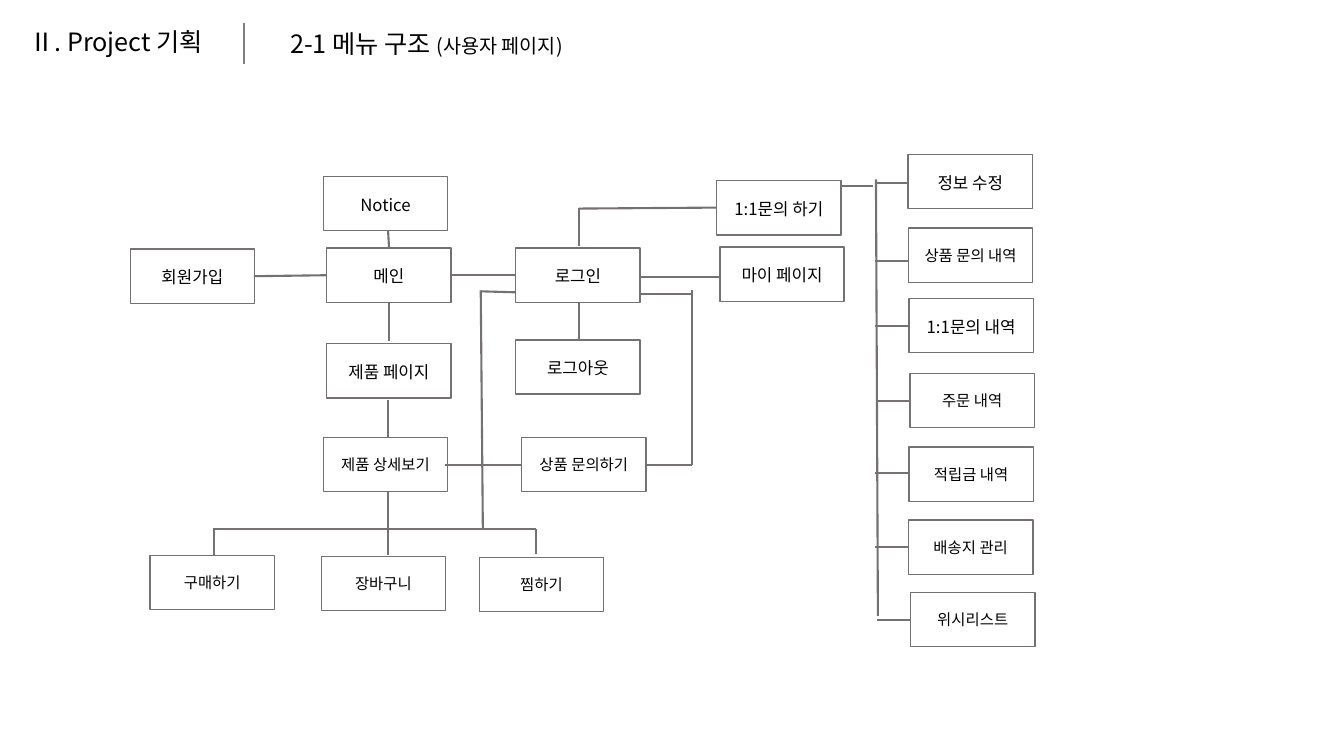
from lxml.etree import SubElement
from pptx import Presentation
from pptx.dml.color import RGBColor
from pptx.enum.shapes import MSO_CONNECTOR, MSO_SHAPE
from pptx.enum.text import MSO_ANCHOR, MSO_AUTO_SIZE, PP_ALIGN
from pptx.oxml.ns import qn
from pptx.util import Pt

COLORS = {"text": "000000", "box": "FFFFFF", "line": "767171", "divider": "808080"}
FONT = "Noto Sans CJK KR"
BOX_W, BOX_H = 88.8, 38.8

# label, left, top, text size
MENU_BOXES = [
    ("Notice", 231, 126, 12),
    ("회원가입", 93, 178, 12),
    ("메인", 233.4, 177.2, 12),
    ("로그인", 368.4, 177.2, 12),
    ("마이 페이지", 514.2, 176.4, 12),
    ("1:1문의 하기", 511.9, 129, 12),
    ("제품 페이지", 233.4, 245.5, 12),
    ("로그아웃", 368.4, 242.8, 12),
    ("제품 상세보기", 231, 312.4, 11),
    ("상품 문의하기", 372.6, 312.4, 11),
    ("구매하기", 107.2, 396.8, 11),
    ("장바구니", 229.5, 397.4, 11),
    ("찜하기", 342.4, 398.2, 11),
]

# label, left, top, text size, height of the branch that leads to it
MY_PAGE_BOXES = [
    ("정보 수정", 648.7, 110.2, 12, 131),
    ("상품 문의 내역", 648.9, 162.8, 11, 186.5),
    ("1:1문의 내역", 649.3, 213.2, 12, 232.6),
    ("주문 내역", 650, 266.6, 11, 286.6),
    ("적립금 내역", 649.3, 319.4, 11, 337.7),
    ("배송지 관리", 649, 371.5, 11, 391),
    ("위시리스트", 650.4, 423.2, 11, 442.8),
]

# from x, from y, to x, to y
LINKS = [
    (277.2, 165, 277.9, 177),       # Notice - main
    (233.3, 196.6, 181.4, 197.3),   # main - sign-up
    (368.6, 196.6, 321.8, 196.6),   # main - login
    (277.9, 216, 277.9, 243.4),     # main - products
    (277.2, 286, 277.2, 313.2),     # products - detail
    (413.3, 216, 413.3, 242.6),     # login - logout
    (514.8, 198, 457.2, 198),       # login - my page
    (413.3, 148.3, 413.3, 175.7),   # login - enquiry
    (511.9, 148.3, 413.3, 149),
    (623.5, 133.2, 599.8, 133.2),   # enquiry - my page trunk
    (627.1, 440, 625.7, 128.2),     # my page trunk
    (373, 332, 318.2, 332),         # detail - product enquiry
    (494.6, 332, 460.8, 332),       # product enquiry - login
    (494.6, 207.4, 494.6, 332),
    (494.6, 210, 456.5, 210),
    (277, 351.4, 277, 396.7),       # detail - cart
    (383, 377.6, 152.4, 377.6),     # buy, cart and wish row
    (152.6, 377.6, 152.6, 396.7),
    (383, 377.6, 383, 396),
    (344.9, 377.6, 343.4, 207.4),   # row - login
    (368.6, 208.8, 343.4, 208.1),
]


def rgb(name):
    return RGBColor.from_string(COLORS[name])


class MenuSlide:
    def __init__(self, prs):
        self.s = prs.slides.add_slide(prs.slide_layouts[5])

    def style(self, p, align, size=None):
        """Set the font for both Latin and Korean text of a paragraph."""
        p.alignment = align
        p.font.name = FONT
        p.font.color.rgb = rgb("text")
        if size:
            p.font.size = Pt(size)
        SubElement(p._p.pPr.find(qn("a:defRPr")), qn("a:ea"), typeface=FONT)

    def heading(self, sp, x, y, w, parts):
        """Fill a title or text box with (text, size) parts on one line."""
        sp.left, sp.top, sp.width, sp.height = Pt(x), Pt(y), Pt(w), Pt(29)
        tf = sp.text_frame
        tf.word_wrap = True
        tf.auto_size = MSO_AUTO_SIZE.NONE
        tf.vertical_anchor = MSO_ANCHOR.TOP
        p = tf.paragraphs[0]
        for text, size in parts:
            r = p.add_run()
            r.text = text
            r.font.size = Pt(size)
        self.style(p, PP_ALIGN.LEFT)

    def title(self, x, y, w, parts):
        self.heading(self.s.shapes.title, x, y, w, parts)

    def subtitle(self, x, y, w, parts):
        sp = self.s.shapes.add_textbox(0, 0, Pt(w), Pt(29))
        self.heading(sp, x, y, w, parts)

    def box(self, text, x, y, size, side=12.6):
        sp = self.s.shapes.add_shape(MSO_SHAPE.RECTANGLE, Pt(x), Pt(y), Pt(BOX_W), Pt(BOX_H))
        sp.shadow.inherit = False
        sp.fill.solid()
        sp.fill.fore_color.rgb = rgb("box")
        sp.line.color.rgb = rgb("line")
        sp.line.width = Pt(1)
        tf = sp.text_frame
        tf.word_wrap = True
        tf.vertical_anchor = MSO_ANCHOR.TOP
        tf.margin_left = tf.margin_right = Pt(side)
        tf.margin_top, tf.margin_bottom = Pt(12.8), 0
        p = tf.paragraphs[0]
        p.text = text
        self.style(p, PP_ALIGN.CENTER, size)

    def line(self, x1, y1, x2, y2, color="line"):
        c = self.s.shapes.add_connector(MSO_CONNECTOR.STRAIGHT, Pt(x1), Pt(y1), Pt(x2), Pt(y2))
        c.line.color.rgb = rgb(color)
        c.line.width = Pt(1.5)
        SubElement(c._element.spPr, qn("a:effectLst"))


def main():
    prs = Presentation()
    prs.slide_width, prs.slide_height = Pt(960), Pt(540)
    menu = MenuSlide(prs)

    menu.title(13.7, 15.1, 196, [("Ⅱ. Project 기획", 18)])
    menu.line(174.2, 16.6, 174.2, 46, "divider")
    menu.subtitle(200.2, 16.6, 317.5, [("2-1 메뉴 구조 ", 18), ("(사용자 페이지)", 14)])

    for text, x, y, size in MENU_BOXES:
        menu.box(text, x, y, size, 10 if text.startswith("1:1") else 12.6)
    for text, x, y, size, branch_y in MY_PAGE_BOXES:
        menu.box(text, x, y, size, 10)
        menu.line(x, branch_y, x - 24, branch_y)
    for link in LINKS:
        menu.line(*link)

    prs.save("out.pptx")


if __name__ == "__main__":
    main()
